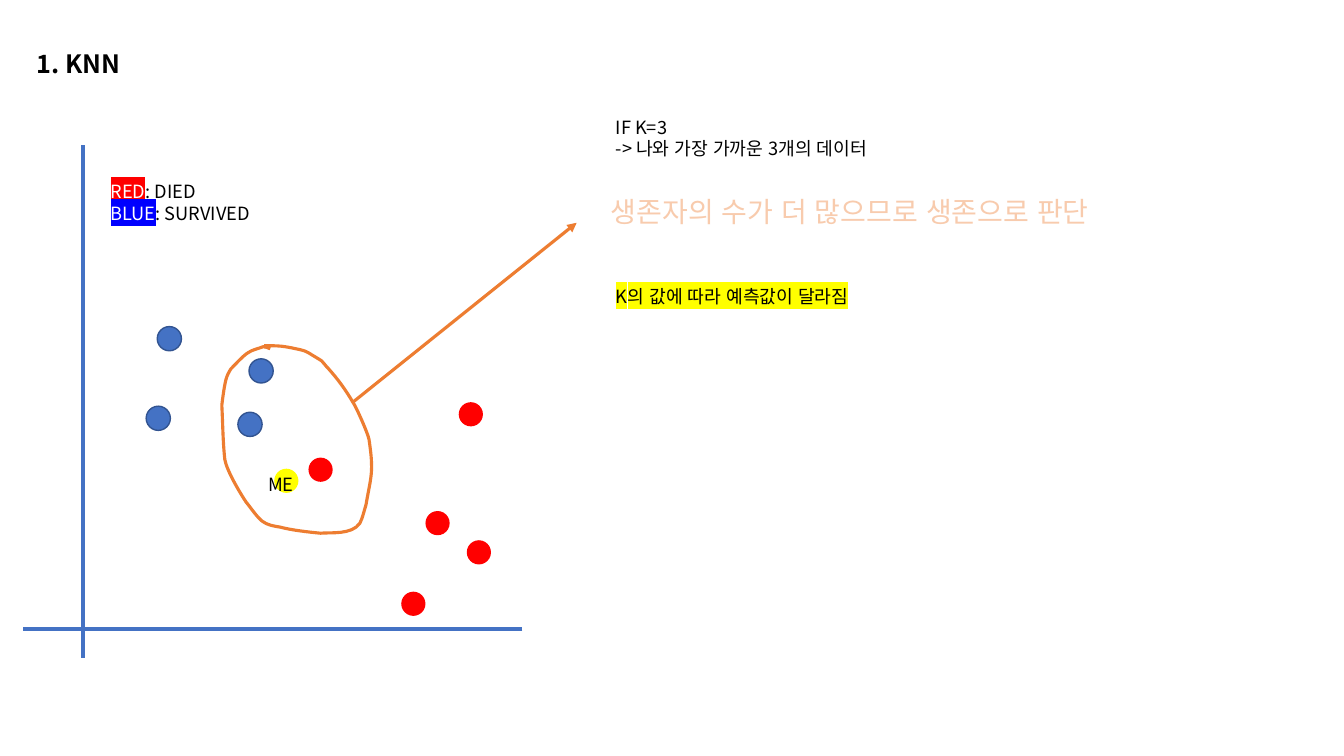
from dataclasses import dataclass
from lxml.etree import SubElement as Sub
from pptx import Presentation
from pptx.dml.color import RGBColor as RGB
from pptx.enum.shapes import MSO_CONNECTOR as Link, MSO_SHAPE as Form
from pptx.enum.text import MSO_ANCHOR as Anchor, MSO_AUTO_SIZE as Auto, PP_ALIGN as Align
from pptx.oxml.ns import qn
from pptx.util import Inches, Pt


@dataclass(frozen=True)
class Theme:
    font: str = "Noto Sans CJK KR"
    head: int = 18
    big: int = 20
    body: int = 13
    black: str = "000000"
    white: str = "FFFFFF"
    blue: str = "4472C4"
    navy: str = "325491"
    deep: str = "0000FF"
    red: str = "FF0000"
    gold: str = "FFFF00"
    rust: str = "ED7D31"
    peach: str = "F8CBAD"


LOOK = Theme()
COLS, ROWS = 133.3, 75
WIDE, HIGH = Inches(13.33), Inches(7.5)
DOT = 2.4
BLUES = [(15.6, 32.4), (14.5, 40.3), (23.6, 40.9), (24.7, 35.6)]
REDS = [(42.2, 50.7), (45.5, 39.9), (46.3, 53.6), (39.8, 58.7), (30.6, 45.4)]
START = (26.8, 34.6)
CURVES = [
    [(26.6, 34.5), (26.3, 34.4), (26.1, 34.4)],
    [(25.6, 34.6), (25, 34.7), (24.6, 35)],
    [(24.2, 35.2), (23.2, 36.3), (22.9, 36.6)],
    [(22.7, 36.9), (22.5, 37.3), (22.4, 37.7)],
    [(22.2, 38.5), (22, 40.2), (22, 40.2)],
    [(22.1, 42), (22.1, 43.8), (22.3, 45.6)],
    [(22.5, 46.7), (23.8, 48.9), (24.4, 49.8)],
    [(24.9, 50.4), (25.4, 51.2), (26, 51.7)],
    [(26.5, 52.1), (27.2, 52.2), (27.8, 52.3)],
    [(28.9, 52.6), (30.7, 52.8), (31.8, 52.9)],
    [(32.7, 52.8), (34.9, 53.1), (35.7, 51.9)],
    [(36, 51.3), (36.1, 50.7), (36.3, 50.1)],
    [(36.8, 47.2), (37.1, 46.9), (36.6, 43.6)],
    [(36.5, 43), (35.3, 40.3), (35, 39.9)],
    [(34.3, 38.7), (33.5, 37.6), (32.6, 36.6)],
    [(32.3, 36.3), (32.1, 36), (31.9, 35.8)],
    [(31.6, 35.6), (30.9, 35.2), (30.6, 35)],
    [(30.3, 34.9), (30.1, 34.7), (29.8, 34.7)],
    [(28, 34.3), (27.8, 34.3), (26.2, 34.3)],
]


def col(n):
    return round(WIDE * n / COLS)


def row(n):
    return round(HIGH * n / ROWS)


def place(item, x, y, w, h):
    item.left, item.top, item.width, item.height = col(x), row(y), col(w), row(h)


def tint(node, tag, color):
    part = Sub(node, qn(tag))
    Sub(part, qn("a:srgbClr")).set("val", color)
    return part


def style(run, size=LOOK.body, color=LOOK.black, bold=False, mark=None, edge=None):
    font = run.font
    font.size, font.bold = Pt(size), bold
    font.color.rgb = RGB.from_string(color)
    props = run._r.get_or_add_rPr()
    props.set("lang", "ko-KR")
    props.set("kern", "1200")
    if edge:
        line = Sub(props, qn("a:ln"), w=str(Pt(1.75)))
        tint(line, "a:solidFill", edge)
        props.insert(0, line)
    if mark:
        tint(props, "a:highlight", mark)
    font.name = LOOK.font
    Sub(props, qn("a:ea")).set("typeface", LOOK.font)


def write(box, lines, **base):
    frame = box.text_frame
    frame.word_wrap = True
    frame.auto_size = Auto.SHAPE_TO_FIT_TEXT
    frame.vertical_anchor = Anchor.TOP
    for i, line in enumerate(lines):
        para = frame.add_paragraph() if i else frame.paragraphs[0]
        para.alignment = Align.LEFT
        para.line_spacing = 1.0
        para.space_before = Pt(0)
        for words, extra in line:
            run = para.add_run()
            run.text = words
            style(run, **{**base, **extra})


def note(page, spot, lines, **base):
    box = page.shapes.add_textbox(0, 0, 0, 0)
    place(box, *spot)
    write(box, lines, **base)


def dot(page, x, y, fill, edge=None):
    ball = page.shapes.add_shape(Form.OVAL, col(x), row(y), col(DOT), row(DOT))
    ball.shadow.inherit = False
    ball.fill.solid()
    ball.fill.fore_color.rgb = RGB.from_string(fill)
    if edge:
        ball.line.color.rgb = RGB.from_string(edge)
        ball.line.width = Pt(1)
    else:
        ball.line.fill.background()


def rule(page, start, end, color, width, arrow=False):
    line = page.shapes.add_connector(
        Link.STRAIGHT, col(start[0]), row(start[1]), col(end[0]), row(end[1]))
    line.line.color.rgb = RGB.from_string(color)
    line.line.width = Pt(width)
    if arrow:
        Sub(line.line._get_or_add_ln(), qn("a:tailEnd")).set("type", "triangle")
    Sub(line._element.spPr, qn("a:effectLst"))


def ring(page, start, curves, color, width):
    pen = page.shapes.build_freeform(col(start[0]), row(start[1]))
    pen.add_line_segments(
        [(col(x), row(y)) for curve in curves for x, y in curve], close=False)
    loop = pen.convert_to_shape()
    legs = list(loop._element.iter(qn("a:lnTo")))
    track = legs[0].getparent()
    for i in range(0, len(legs), 3):
        arc = Sub(track, qn("a:cubicBezTo"))
        for leg in legs[i:i + 3]:
            arc.append(leg[0])
            track.remove(leg)
    loop.shadow.inherit = False
    loop.fill.background()
    loop.line.color.rgb = RGB.from_string(color)
    loop.line.width = Pt(width)


def main():
    deck = Presentation()
    deck.slide_width, deck.slide_height = WIDE, HIGH
    page = deck.slides.add_slide(deck.slide_layouts[5])
    title = page.shapes.title
    place(title, 2.6, 4.3, 31.2, 4)
    write(title, [[("1. KNN", {})]], size=LOOK.head, bold=True)

    rule(page, (8.2, 14.4), (8.2, 65.3), LOOK.blue, 3)
    rule(page, (51.8, 62.4), (2.3, 62.4), LOOK.blue, 3)
    dot(page, 27.2, 46.5, LOOK.gold)
    for x, y in BLUES:
        dot(page, x, y, LOOK.blue, LOOK.navy)
    for x, y in REDS:
        dot(page, x, y, LOOK.red)

    note(page, (10, 17.4, 17.3, 5.4), [
        [("RED", {"color": LOOK.white, "mark": LOOK.red}), (": DIED", {})],
        [("BLUE", {"color": LOOK.white, "mark": LOOK.deep}), (": SURVIVED", {})]])
    note(page, (25.6, 46.5, 7.2, 3.2), [[("ME", {})]])
    note(page, (60.1, 11, 33, 5.4), [
        [("IF K=3", {})], [("-> 나와 가장 가까운 3개의 데이터", {})]])
    ring(page, START, CURVES, LOOK.rust, 2.25)
    rule(page, (35, 39.9), (57.2, 22.1), LOOK.rust, 2.25, arrow=True)
    note(page, (59.6, 18.8, 55.1, 4.4),
         [[("생존자의 수가 더 많으므로 생존으로 판단", {})]],
         size=LOOK.big, color=LOOK.peach, edge=LOOK.rust)
    note(page, (60.1, 27.8, 33, 3.2),
         [[("K의 값에 따라 예측값이 달라짐", {})]], mark=LOOK.gold)
    deck.save("out.pptx")


if __name__ == "__main__":
    main()
